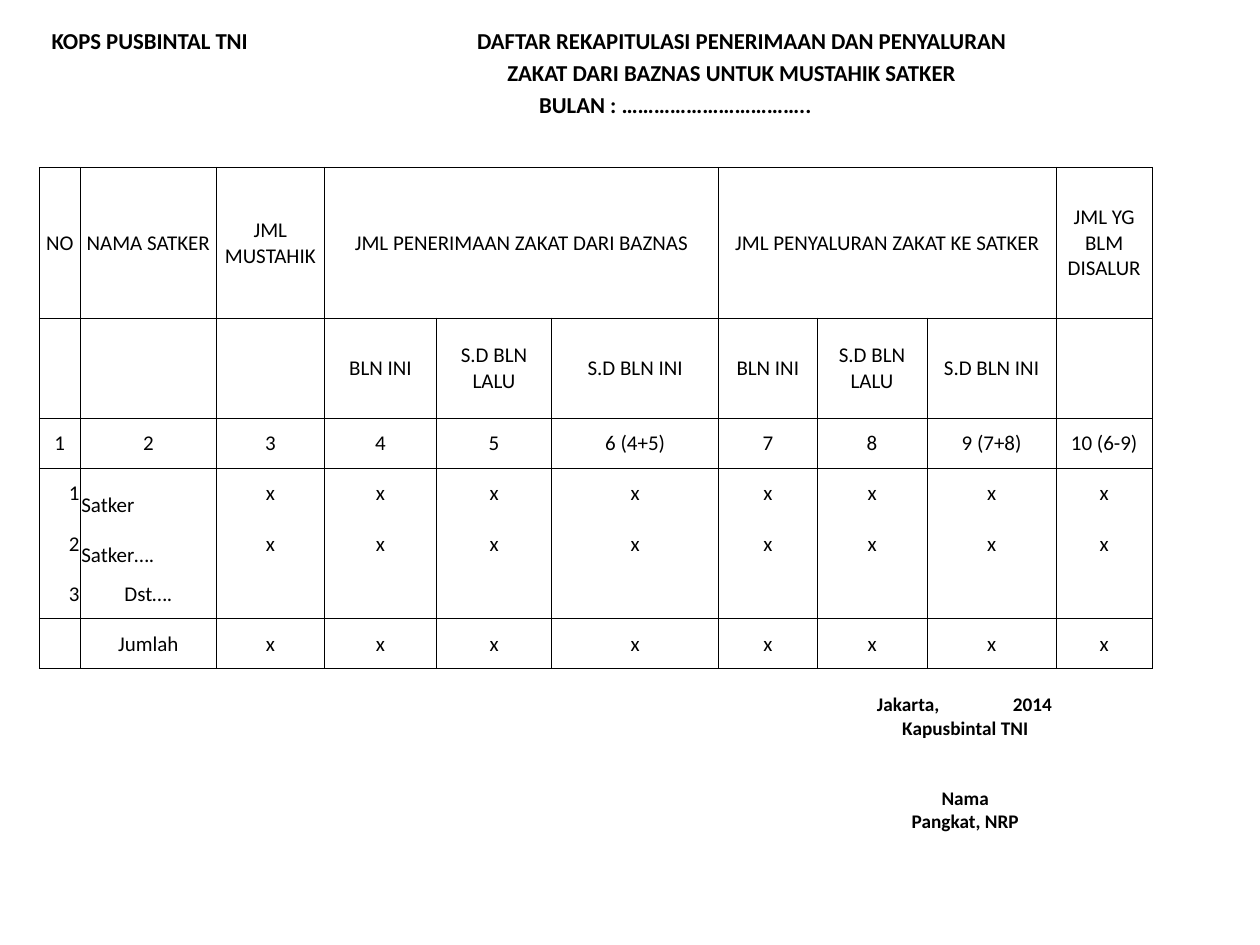
from lxml.etree import SubElement
from pptx import Presentation
from pptx.dml.color import RGBColor
from pptx.enum.text import MSO_ANCHOR, PP_ALIGN
from pptx.oxml.ns import qn
from pptx.util import Cm, Pt

COLOURS = {"ink": "000000", "paper": "FFFFFF"}
FONT = "Calibri"

COLUMN_WIDTHS = [0.83, 2.74, 2.18, 2.26, 2.32, 3.37, 1.98, 2.22, 2.6, 1.94]
ROW_HEIGHTS = [3.04, 2.02] + [1.01] * 5
PERIODS = ["BLN INI", "S.D BLN LALU", "S.D BLN INI"]
MARKS = ["x"] * 8
ROWS = [
    ["NO", "NAMA SATKER", "JML MUSTAHIK",
     "JML PENERIMAAN ZAKAT DARI BAZNAS", "", "",
     "JML PENYALURAN ZAKAT KE SATKER", "", "", "JML YG BLM DISALUR"],
    ["", "", "", *PERIODS, *PERIODS, ""],
    ["1", "2", "3", "4", "5", "6 (4+5)", "7", "8", "9 (7+8)", "10 (6-9)"],
    ["1", "Satker", *MARKS],
    ["2", "Satker….", *MARKS],
    ["3", "Dst….", *[""] * 8],
    ["", "Jumlah", *MARKS],
]
GROUP_STARTS = [3, 6]
FIRST_UNIT, LAST_UNIT = 3, 5


def write(para, text, size=12, bold=False, align=PP_ALIGN.CENTER,
          before=0, after=0, tabs=()):
    """Fill a paragraph with one span; tabs are stops in cm."""
    para.alignment = align
    para.space_before, para.space_after = Pt(before), Pt(after)
    span = para.add_run()
    span.text = text
    span.font.name, span.font.size, span.font.bold = FONT, Pt(size), bold
    span.font.color.rgb = RGBColor.from_string(COLOURS["ink"])
    if tabs:
        stops = SubElement(para._p.get_or_add_pPr(), qn("a:tabLst"))
        for stop in tabs:
            SubElement(stops, qn("a:tab"), pos=str(Cm(stop)), algn="l")


def draw_borders(cell, hidden=()):
    """Rule all four sides of a cell, except the hidden ones (L, R, T, B)."""
    properties = cell._tc.get_or_add_tcPr()
    for side in "LRTB":
        line = SubElement(properties, qn(f"a:ln{side}"), w=str(Pt(0.5)))
        if side in hidden:
            SubElement(line, qn("a:noFill"))
        else:
            fill = SubElement(line, qn("a:solidFill"))
            SubElement(fill, qn("a:srgbClr"), val=COLOURS["ink"])


class Report:
    def __init__(self, page):
        self.page = page
        background = page.background.fill
        background.solid()
        background.fore_color.rgb = RGBColor.from_string(COLOURS["paper"])

    def text(self, left, top, width, height, lines, anchor=MSO_ANCHOR.TOP, **style):
        """Add a text box; lines are pairs of text and their own format."""
        box = self.page.shapes.add_textbox(Cm(left), Cm(top), Cm(width), Cm(height))
        frame = box.text_frame
        frame.word_wrap = True
        frame.vertical_anchor = anchor
        for index, (text, own) in enumerate(lines):
            para = frame.add_paragraph() if index else frame.paragraphs[0]
            write(para, text, **{**style, **own})

    def table(self, left, top, rows, widths, heights):
        frame = self.page.shapes.add_table(
            len(rows), len(widths), Cm(left), Cm(top),
            Cm(sum(widths)), Cm(sum(heights)))
        table = frame.table
        table.first_row = table.horz_banding = False
        for column, width in zip(table.columns, widths):
            column.width = Cm(width)
        for row, height in zip(table.rows, heights):
            row.height = Cm(height)
        for start in GROUP_STARTS:
            table.cell(0, start).merge(table.cell(0, start + 2))
        for row, texts in enumerate(rows):
            for column, text in enumerate(texts):
                self.cell(table.cell(row, column), row, column, text)

    def cell(self, cell, row, column, text):
        cell.margin_left = cell.margin_right = cell.margin_top = Cm(0.02)
        cell.margin_bottom = 0
        cell.vertical_anchor = MSO_ANCHOR.MIDDLE
        align = PP_ALIGN.CENTER
        hidden = ""
        if FIRST_UNIT <= row <= LAST_UNIT:
            hidden += "T" if row > FIRST_UNIT else ""
            hidden += "B" if row < LAST_UNIT else ""
            if column == 0:
                align = PP_ALIGN.RIGHT
            elif column == 1 and row < LAST_UNIT:
                align = PP_ALIGN.LEFT
                cell.vertical_anchor = MSO_ANCHOR.BOTTOM
        draw_borders(cell, hidden)
        cell.fill.background()
        if text:
            write(cell.text_frame.paragraphs[0], text, align=align)


def main():
    deck = Presentation()
    deck.slide_width, deck.slide_height = Cm(25.4), Cm(19.05)
    report = Report(deck.slides.add_slide(deck.slide_layouts[6]))

    report.text(0.79, 0.41, 24, 2.3, [
        ("KOPS PUSBINTAL TNI\tDAFTAR REKAPITULASI PENERIMAAN DAN PENYALURAN",
         {"tabs": [8.58]}),
        ("\tZAKAT DARI BAZNAS UNTUK MUSTAHIK SATKER", {"tabs": [9.19]}),
        ("\tBULAN : ……………………………..", {"tabs": [9.83]}),
    ], size=13, bold=True, align=PP_ALIGN.LEFT, after=2.6)

    report.text(17.07, 13.49, 4.78, 3.76, [
        ("\tJakarta,\t2014", {"align": PP_ALIGN.LEFT, "tabs": [0.36, 3.1]}),
        ("Kapusbintal TNI", {}),
        ("Nama", {"before": 26.8}),
        ("Pangkat, NRP", {}),
    ], anchor=MSO_ANCHOR.MIDDLE, size=11, bold=True)

    report.table(0.79, 3.37, ROWS, COLUMN_WIDTHS, ROW_HEIGHTS)
    deck.save("out.pptx")


if __name__ == "__main__":
    main()
